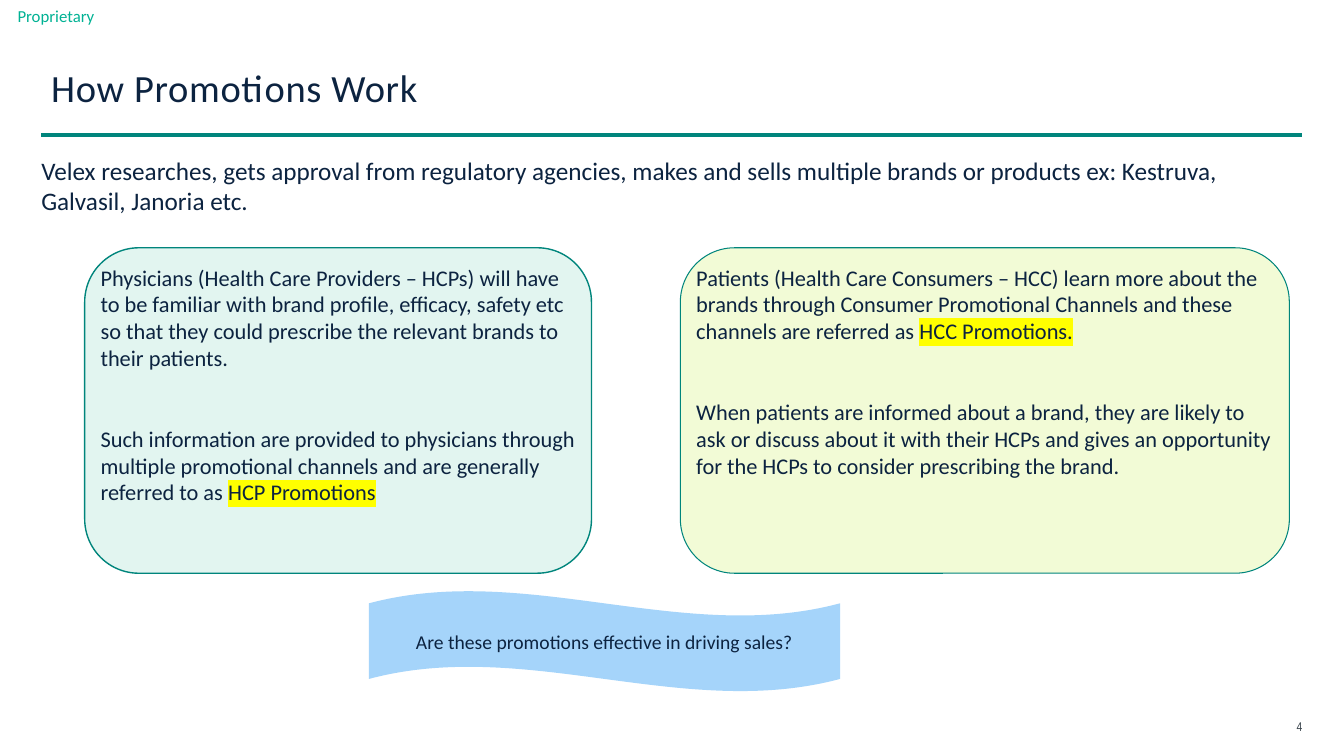
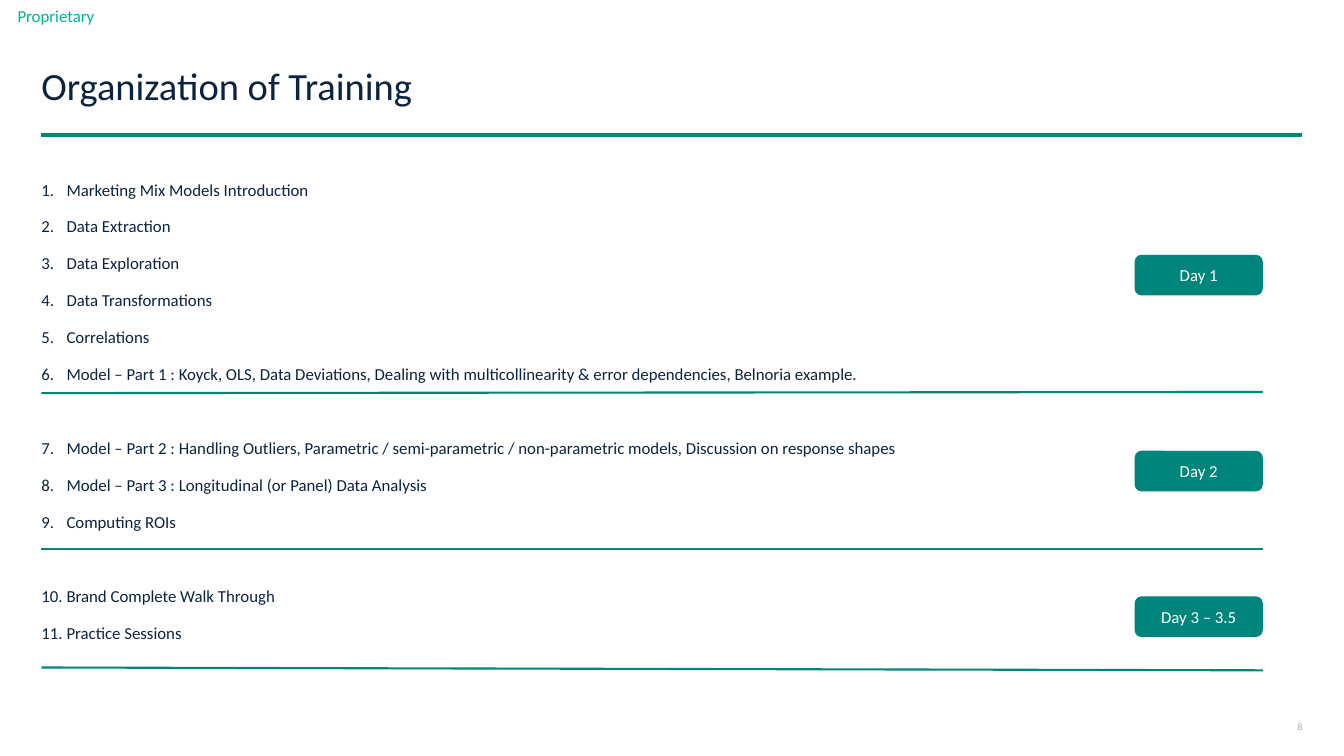
from lxml import etree
from pptx import Presentation
from pptx.dml.color import RGBColor
from pptx.enum.shapes import MSO_CONNECTOR, MSO_SHAPE
from pptx.enum.text import MSO_ANCHOR, PP_ALIGN
from pptx.oxml.ns import qn
from pptx.util import Pt

ROUNDED = MSO_SHAPE.ROUNDED_RECTANGLE
WAVE = MSO_SHAPE.WAVE
STRAIGHT = MSO_CONNECTOR.STRAIGHT
TOP, MIDDLE = MSO_ANCHOR.TOP, MSO_ANCHOR.MIDDLE
LEFT, CENTER, RIGHT = PP_ALIGN.LEFT, PP_ALIGN.CENTER, PP_ALIGN.RIGHT

COLORS = {
    "navy": "0C2340", "teal": "00857C", "green": "00B294", "slate": "37424A",
    "grey": "9EA7B3", "mint": "E2F5F0", "lime": "F2FBD6", "sky": "A5D4FA",
    "yellow": "FFFF00", "white": "FFFFFF",
}
BODY_FONT = "Calibri"
MARGIN = 29.5
CONTENT_WIDTH = 900.7
RULE_Y = 96.5


def rgb(name):
    return RGBColor.from_string(COLORS[name])


def apply(target, values):
    for name, value in values.items():
        setattr(target, name, value)


def highlight(run, color):
    mark = etree.Element(qn("a:highlight"))
    etree.SubElement(mark, qn("a:srgbClr")).set("val", COLORS[color])
    run.font.fill._xPr.find(qn("a:solidFill")).addnext(mark)


def write(shape, paragraphs, size, color="navy", align=LEFT, anchor=TOP, inset=0,
          font=BODY_FONT, spacing=0, gaps=None, layout=None, numbered=False):
    frame = shape.text_frame
    apply(frame, {
        "word_wrap": True, "vertical_anchor": anchor,
        "margin_left": Pt(inset), "margin_right": Pt(inset),
        "margin_top": Pt(inset / 2), "margin_bottom": Pt(inset / 2),
    })
    for index, parts in enumerate(paragraphs):
        paragraph = frame.paragraphs[0] if index == 0 else frame.add_paragraph()
        if numbered:
            properties = paragraph._p.get_or_add_pPr()
            properties.set("marL", str(Pt(18)))
            properties.set("indent", str(Pt(-18)))
            etree.SubElement(properties, qn("a:buFont")).set("typeface", "+mj-lt")
            etree.SubElement(properties, qn("a:buAutoNum")).set("type", "arabicPeriod")
        apply(paragraph, {"alignment": align, **(layout or {})})
        if gaps and gaps[index]:
            paragraph.space_before = Pt(gaps[index])
        for text, mark in parts:
            run = paragraph.add_run()
            run.text = text
            apply(run.font, {"name": font, "size": Pt(size)})
            run.font.color.rgb = rgb(color)
            if mark:
                highlight(run, mark)
            if spacing:
                run.font._element.set("spc", str(round(spacing * 100)))


def plain(text):
    return [[(text, None)]]


def add_text(slide, box, paragraphs, size, **style):
    write(slide.shapes.add_textbox(*map(Pt, box)), paragraphs, size, **style)


def add_panel(slide, kind, box, fill, paragraphs, size, border=0, **style):
    panel = slide.shapes.add_shape(kind, *map(Pt, box))
    panel.shadow.inherit = False
    panel.fill.solid()
    panel.fill.fore_color.rgb = rgb(fill)
    if border:
        panel.line.color.rgb = rgb("teal")
        panel.line.width = Pt(border)
    else:
        panel.line.fill.background()
    write(panel, paragraphs, size, **style)


def add_rule(slide, start, end, width):
    rule = slide.shapes.add_connector(STRAIGHT, *map(Pt, start + end))
    rule.line.color.rgb = rgb("teal")
    rule.line.width = Pt(width)
    etree.SubElement(rule._element.spPr, qn("a:effectLst"))


def add_frame(deck, title, title_top, number, title_style, number_style):
    slide = deck.slides.add_slide(deck.slide_layouts[6])
    add_rule(slide, (MARGIN, RULE_Y), (MARGIN + CONTENT_WIDTH, RULE_Y), 2.5)
    add_text(slide, (0, 0, 80, 23), plain("Proprietary"), 12,
             color="green", align=CENTER, anchor=MIDDLE)
    add_text(slide, (MARGIN, title_top, CONTENT_WIDTH, 67), plain(title), 27.5,
             anchor=MIDDLE, layout={"line_spacing": 0.9}, **title_style)
    add_text(slide, (912.2, 510.5, 18, 17.3), plain(number),
             align=RIGHT, anchor=MIDDLE, **number_style)
    return slide


def add_audience(slide, box, fill, border, statements):
    add_panel(slide, ROUNDED, box, fill, statements, 16, border=border, gaps=[0, 38.4])


def build_promotions(deck):
    slide = add_frame(deck, "How Promotions Work", 31, "4",
                      {"inset": 7.2, "spacing": 0.5},
                      {"size": 9, "font": "Arial Narrow", "color": "slate", "spacing": 0.1})
    add_text(slide, (MARGIN, 111, 897, 53), plain(
        "Velex researches, gets approval from regulatory agencies, makes and sells "
        "multiple brands or products ex: Kestruva, Galvasil, Janoria etc."), 18)
    panel_top, panel_height = 177, 232.5
    add_audience(slide, (486, panel_top, 435, panel_height), "lime", 0.75, [
        [("Patients (Health Care Consumers – HCC) learn more about the brands through "
          "Consumer Promotional Channels and these channels are referred as ", None),
         ("HCC Promotions.", "yellow")],
        [("When patients are informed about a brand, they are likely to ask or discuss "
          "about it with their HCPs and gives an opportunity for the HCPs to consider "
          "prescribing the brand.", None)],
    ])
    add_audience(slide, (60.5, panel_top, 362, panel_height), "mint", 1, [
        [("Physicians (Health Care Providers – HCPs) will have to be familiar with brand "
          "profile, efficacy, safety etc so that they could prescribe the relevant "
          "brands to their patients.", None)],
        [("Such information are provided to physicians through multiple promotional "
          "channels and are generally referred to as ", None),
         ("HCP Promotions", "yellow")],
    ])
    add_panel(slide, WAVE, (263.5, 422, 336.5, 72), "sky",
              plain("Are these promotions effective in driving sales?"), 14,
              align=CENTER, anchor=MIDDLE, inset=7.2)


def add_day(slide, day, badge_top, rule_left_y, rule_right_y):
    right, badge_width = 902, 91.5
    add_rule(slide, (MARGIN, rule_left_y), (right, rule_right_y), 1.5)
    add_panel(slide, ROUNDED, (right - badge_width, badge_top, badge_width, 29), "teal",
              plain(day), 12, color="white", align=CENTER, anchor=MIDDLE)


def build_training(deck):
    slide = add_frame(deck, "Organization of Training", 29.5, "8", {},
                      {"size": 7, "color": "grey"})
    sessions = [
        ["Marketing Mix Models Introduction", "Data Extraction", "Data Exploration",
         "Data Transformations", "Correlations",
         "Model – Part 1 : Koyck, OLS, Data Deviations, Dealing with multicollinearity "
         "& error dependencies, Belnoria example."],
        ["Model – Part 2 : Handling Outliers, Parametric / semi-parametric / "
         "non-parametric models, Discussion on response shapes",
         "Model – Part 3 : Longitudinal (or Panel) Data Analysis", "Computing ROIs"],
        ["Brand Complete Walk Through", "Practice Sessions"],
    ]
    topics, gaps = [], []
    for session in sessions:
        for position, topic in enumerate(session):
            topics.append([(topic, None)])
            gaps.append(12 if position else 38.4)
    gaps[0] = 0
    add_text(slide, (MARGIN, 128, CONTENT_WIDTH, 350.5), topics, 12,
             gaps=gaps, numbered=True)
    for day in [("Day 1", 182, 280.8, 280),
                ("Day 2", 322, 392.2, 392.2),
                ("Day 3 – 3.5", 426, 476.8, 478.8)]:
        add_day(slide, *day)


def main():
    deck = Presentation()
    apply(deck, {"slide_width": Pt(960), "slide_height": Pt(540)})
    build_promotions(deck)
    build_training(deck)
    deck.save("out.pptx")


if __name__ == "__main__":
    main()
